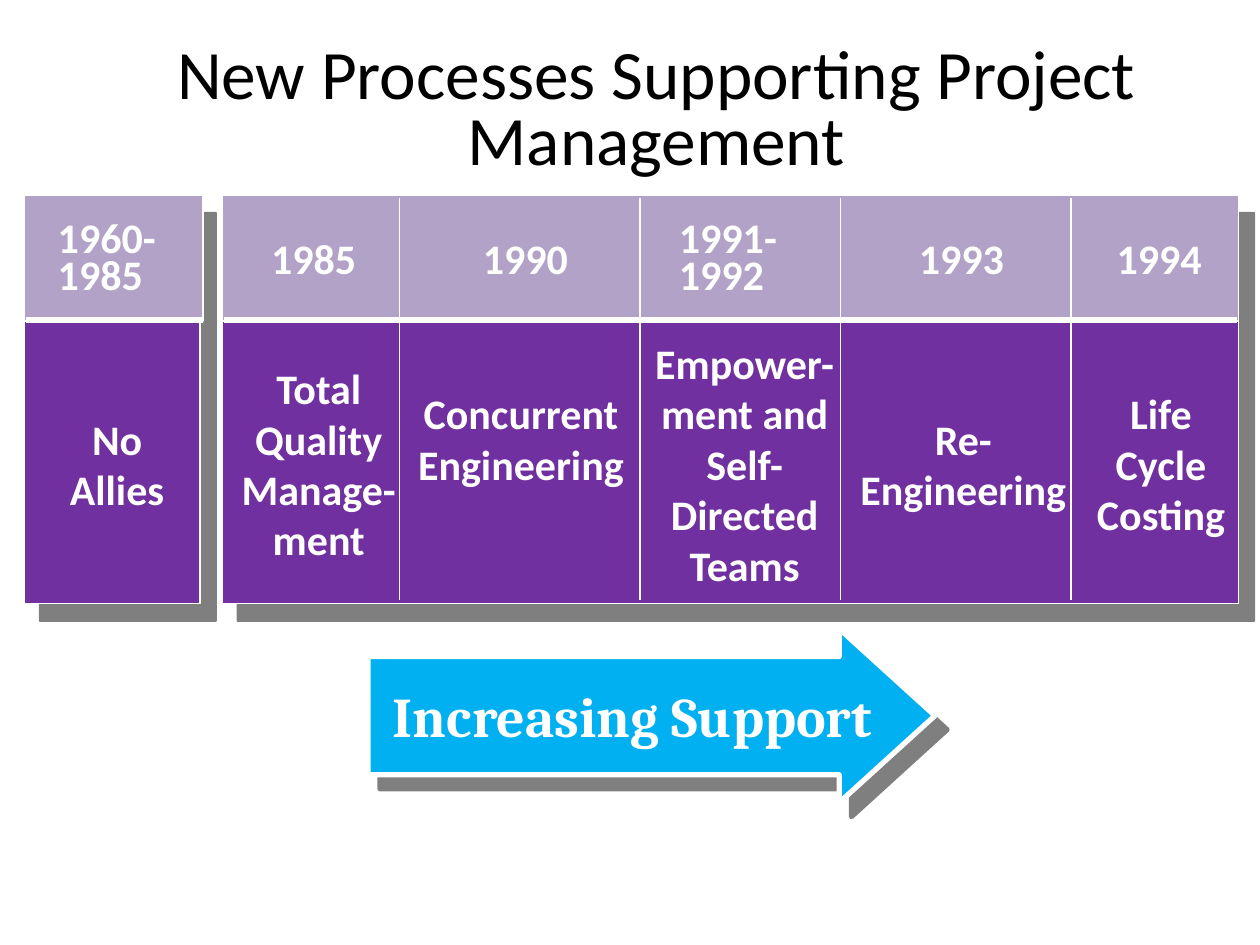
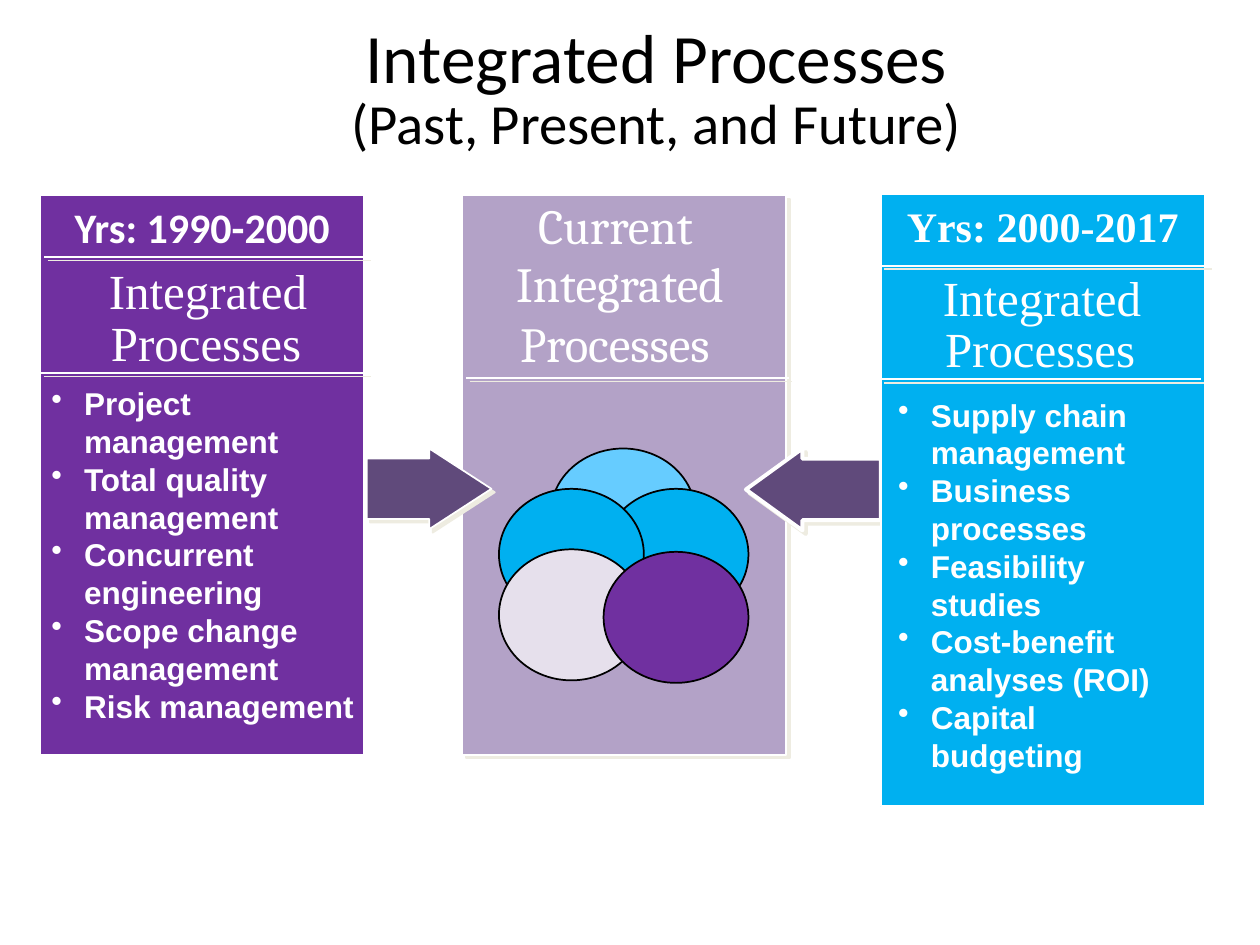
"""Build two slides on the processes that support project management."""
from lxml import etree
from pptx import Presentation
from pptx.dml.color import RGBColor
from pptx.enum.shapes import MSO_CONNECTOR, MSO_SHAPE
from pptx.enum.text import MSO_ANCHOR, MSO_AUTO_SIZE, PP_ALIGN
from pptx.oxml.ns import qn
from pptx.util import Emu, Pt

RECTANGLE, OVAL = MSO_SHAPE.RECTANGLE, MSO_SHAPE.OVAL
RIGHT_ARROW, LEFT_ARROW = MSO_SHAPE.RIGHT_ARROW, MSO_SHAPE.LEFT_ARROW
STRAIGHT = MSO_CONNECTOR.STRAIGHT
LEFT, CENTER = PP_ALIGN.LEFT, PP_ALIGN.CENTER
TOP, MIDDLE = MSO_ANCHOR.TOP, MSO_ANCHOR.MIDDLE
GROW = MSO_AUTO_SIZE.SHAPE_TO_FIT_TEXT

EMU_PER_PX = 9144
TITLE_ONLY = 5
COLORS = {
    "white": "FFFFFF", "black": "000000", "purple": "7030A0", "lilac": "B3A2C7",
    "blue": "00B0F0", "sky": "66CCFF", "mist": "E6E0EC", "plum": "604A7B",
    "cream": "EEECE1",
}
TITLE_FONT, SERIF, ROMAN, SANS = "Calibri", "Cambria", "Times New Roman", "Arial"
DEEP_SHADOW = ("black", 50, 13.5, 48)
ARROW_SHADOW = ("black", 50, 10.6, 49)
SOFT_SHADOW = ("cream", 100, 2.8, 45)
TEXT_SHADOW = ("white", 70, 2, 45)

PERIODS = [
    ("1960-\n1985", 36, 98, "No\nAllies", 45, 323, 96),
    ("1985", 205, 88, "Total\nQuality\nManage-\nment", 181, 283, 144),
    ("1990", 373, 88, "Concurrent\nEngineering", 317, 303, 193),
    ("1991-\n1992", 529, 98, "Empower-\nment and\nSelf-\nDirected\nTeams", 509, 263, 164),
    ("1993", 719, 88, "Re-\nEngineering", 672, 323, 185),
    ("1994", 876, 88, "Life\nCycle\nCosting", 860, 303, 123),
]
PERIOD_EDGES = [317, 508, 667, 850]
PAST_PROCESSES = [
    "Project management", "Total quality management", "Concurrent engineering",
    "Scope change management", "Risk management",
]
FUTURE_PROCESSES = [
    "Supply chain management", "Business processes", "Feasibility studies",
    "Cost-benefit analyses (ROI)", "Capital budgeting",
]
CIRCLES = [
    (437, 356, "sky"), (479, 388, "blue"), (396, 388, "blue"),
    (396, 436, "mist"), (479, 438, "purple"),
]


def px(length):
    """Turn px into EMU."""
    return Emu(length * EMU_PER_PX)


def color(name):
    """Return the named colour."""
    return RGBColor.from_string(COLORS[name])


def add_shadow(effects, shadow):
    """Put an outer shadow into an effect list."""
    name, opacity, distance, angle = shadow
    outer = etree.SubElement(
        effects, qn("a:outerShdw"), dist=str(Pt(distance)), dir=str(angle * 60000),
        algn="ctr", rotWithShape="0")
    tint = etree.SubElement(outer, qn("a:srgbClr"), val=COLORS[name])
    etree.SubElement(tint, qn("a:alpha"), val=str(opacity * 1000))


class Painter:
    """Hold the style and the current slide, and draw elements on it."""

    def __init__(self):
        """Start a deck of 10 by 7.5 inches."""
        self.deck = Presentation()
        self.deck.slide_width, self.deck.slide_height = px(1000), px(750)
        self.page = None

    def start_page(self, title, top, spacing, subtitle=None):
        """Add a slide with a formatted title."""
        self.page = self.deck.slides.add_slide(self.deck.slide_layouts[TITLE_ONLY])
        box = self.page.shapes.title
        box.left, box.top, box.width, box.height = px(100), px(top), px(842), px(121)
        box.text_frame.vertical_anchor = MIDDLE
        para = box.text_frame.paragraphs[0]
        para.text = title
        self.style(para, 39.6, TITLE_FONT, False, CENTER, "black")
        para.line_spacing = spacing
        if subtitle:
            para.add_line_break()
            span = para.add_run()
            span.text = subtitle
            span.font.size = Pt(32.4)

    def style(self, para, size, font, bold, align, ink="white"):
        """Set the font and alignment of a paragraph."""
        para.alignment = align
        para.font.size, para.font.name, para.font.bold = Pt(size), font, bold
        para.font.color.rgb = color(ink)

    def shape(self, kind, left, top, width, height, fill, line="white", weight=1,
              shadow=None, adjust=()):
        """Draw a filled and outlined preset shape."""
        shape = self.page.shapes.add_shape(kind, px(left), px(top), px(width), px(height))
        for index, value in enumerate(adjust):
            shape.adjustments[index] = value
        shape.fill.solid()
        shape.fill.fore_color.rgb = color(fill)
        shape.line.color.rgb = color(line)
        shape.line.width = Pt(weight)
        shape.shadow.inherit = False
        if shadow:
            add_shadow(shape.element.spPr.find(qn("a:effectLst")), shadow)
        return shape

    def line(self, x1, y1, x2, y2, weight=1, shadow=None):
        """Draw a straight white line."""
        line = self.page.shapes.add_connector(STRAIGHT, px(x1), px(y1), px(x2), px(y2))
        line.line.color.rgb = color("white")
        line.line.width = Pt(weight)
        effects = etree.SubElement(line.element.spPr, qn("a:effectLst"))
        if shadow:
            add_shadow(effects, shadow)

    def text(self, words, left, top, width, height, size=24, font=TITLE_FONT, bold=True,
             align=CENTER, anchor=TOP, wrap=False, spacing=None):
        """Place one paragraph in a text box."""
        box = self.page.shapes.add_textbox(px(left), px(top), px(width), px(height))
        frame = box.text_frame
        frame.word_wrap, frame.auto_size, frame.vertical_anchor = wrap, GROW, anchor
        para = frame.paragraphs[0]
        para.text = words
        self.style(para, size, font, bold, align)
        if spacing:
            para.line_spacing = spacing
        return box

    def bullets(self, items, left, top, width, height):
        """Place a bulleted list."""
        box = self.page.shapes.add_textbox(px(left), px(top), px(width), px(height))
        frame = box.text_frame
        frame.word_wrap, frame.auto_size = True, GROW
        for index, item in enumerate(items):
            para = frame.add_paragraph() if index else frame.paragraphs[0]
            para.text = item
            self.style(para, 18, SANS, True, LEFT)
            properties = para._p.get_or_add_pPr()
            properties.set("marL", str(px(26)))
            properties.set("indent", str(px(-26)))
            bullet = properties.makeelement(qn("a:buChar"), {"char": "•"})
            properties.insert_element_before(bullet, "a:tabLst", "a:defRPr", "a:extLst")

    def panel(self, years, font, left, top, height, fill):
        """Draw a column headed by its years."""
        panel = self.shape(RECTANGLE, left, top, 257, height, fill)
        frame = panel.text_frame
        frame.word_wrap, frame.vertical_anchor = True, TOP
        para = frame.paragraphs[0]
        para.text = years
        para.space_before = Pt(4.8)
        self.style(para, 24, font, True, CENTER)

    def heading(self, left, top):
        """Place the two-line heading of a column."""
        lines = [
            self.text(word, left + shift, top + drop, width, 57, 28, ROMAN, False,
                      anchor=MIDDLE, wrap=True)
            for word, shift, drop, width in [("Integrated", 0, 0, 252),
                                             ("Processes", -32, 41, 313)]
        ]
        self.page.shapes.add_group_shape(lines)


def draw_timeline(painter):
    """Draw the slide with the processes by year."""
    painter.start_page("New Processes Supporting Project Management", 29, 0.8)
    painter.shape(RIGHT_ARROW, 292, 499, 450, 138, "blue", weight=3,
                  shadow=ARROW_SHADOW, adjust=(0.68, 0.55))
    for left, width in [(19, 140), (176, 807)]:
        painter.shape(RECTANGLE, left, 155, width, 324, "purple", shadow=DEEP_SHADOW)
    for left, width in [(19, 142), (176, 807)]:
        painter.shape(RECTANGLE, left, 155, width, 100, "lilac")
    for year, year_left, year_width, process, left, top, width in PERIODS:
        if "\n" in year:
            painter.text(year, year_left, 172, year_width, 72, align=LEFT, spacing=0.75)
        else:
            painter.text(year, year_left, 180, year_width, 50)
        line_count = process.count("\n") + 1
        painter.text(process, left, top, width, 11 + 40 * line_count)
    for start, end in [(178, 982), (21, 161)]:
        painter.line(start, 254, end, 254, 3)
    for edge in PERIOD_EDGES:
        painter.line(edge, 157, edge, 476)
    label = painter.text("Increasing Support", 302, 536, 412, 64, 32, SERIF, align=LEFT)
    span = label.text_frame.paragraphs[0].runs[0]
    properties = span.font._element
    add_shadow(etree.SubElement(properties, qn("a:effectLst")), TEXT_SHADOW)


def draw_integration(painter):
    """Draw the slide with past, current and future processes."""
    painter.start_page("Integrated Processes", 12, 0.85, "(Past, Present, and Future)")
    painter.panel("Yrs: 1990-2000", TITLE_FONT, 32, 155, 444, "purple")
    painter.bullets(PAST_PROCESSES, 31, 300, 260, 284)
    painter.shape(RECTANGLE, 367, 155, 257, 444, "lilac", shadow=SOFT_SHADOW)
    painter.line(703, 211, 959, 211, shadow=SOFT_SHADOW)
    painter.shape(LEFT_ARROW, 592, 356, 107, 65, "plum", weight=2.25,
                  shadow=SOFT_SHADOW, adjust=(0.75, 0.69))
    painter.panel("Yrs: 2000-2017", ROMAN, 699, 154, 486, "blue")
    painter.bullets(FUTURE_PROCESSES, 703, 309, 252, 313)
    painter.heading(39, 202)
    painter.heading(701, 207)
    for start, end, top in [(35, 292, 204), (370, 626, 300), (699, 956, 211),
                            (32, 292, 296), (699, 953, 301)]:
        painter.line(start, top, end, top, shadow=SOFT_SHADOW)
    circles = [painter.shape(OVAL, left, top, 115, 104, fill, "black")
               for left, top, fill in CIRCLES]
    painter.page.shapes.add_group_shape(circles)
    painter.shape(RIGHT_ARROW, 291, 356, 99, 64, "plum",
                  shadow=SOFT_SHADOW, adjust=(0.75, 0.77))
    for word, left, top, width in [("Current", 410, 150, 157), ("Integrated", 392, 196, 200),
                                   ("Processes", 395, 244, 186)]:
        painter.text(word, left, top, width, 57, 28, SERIF, False, anchor=MIDDLE)


def main():
    """Draw both slides and save the deck."""
    painter = Painter()
    draw_timeline(painter)
    draw_integration(painter)
    painter.deck.save("out.pptx")


if __name__ == "__main__":
    main()
